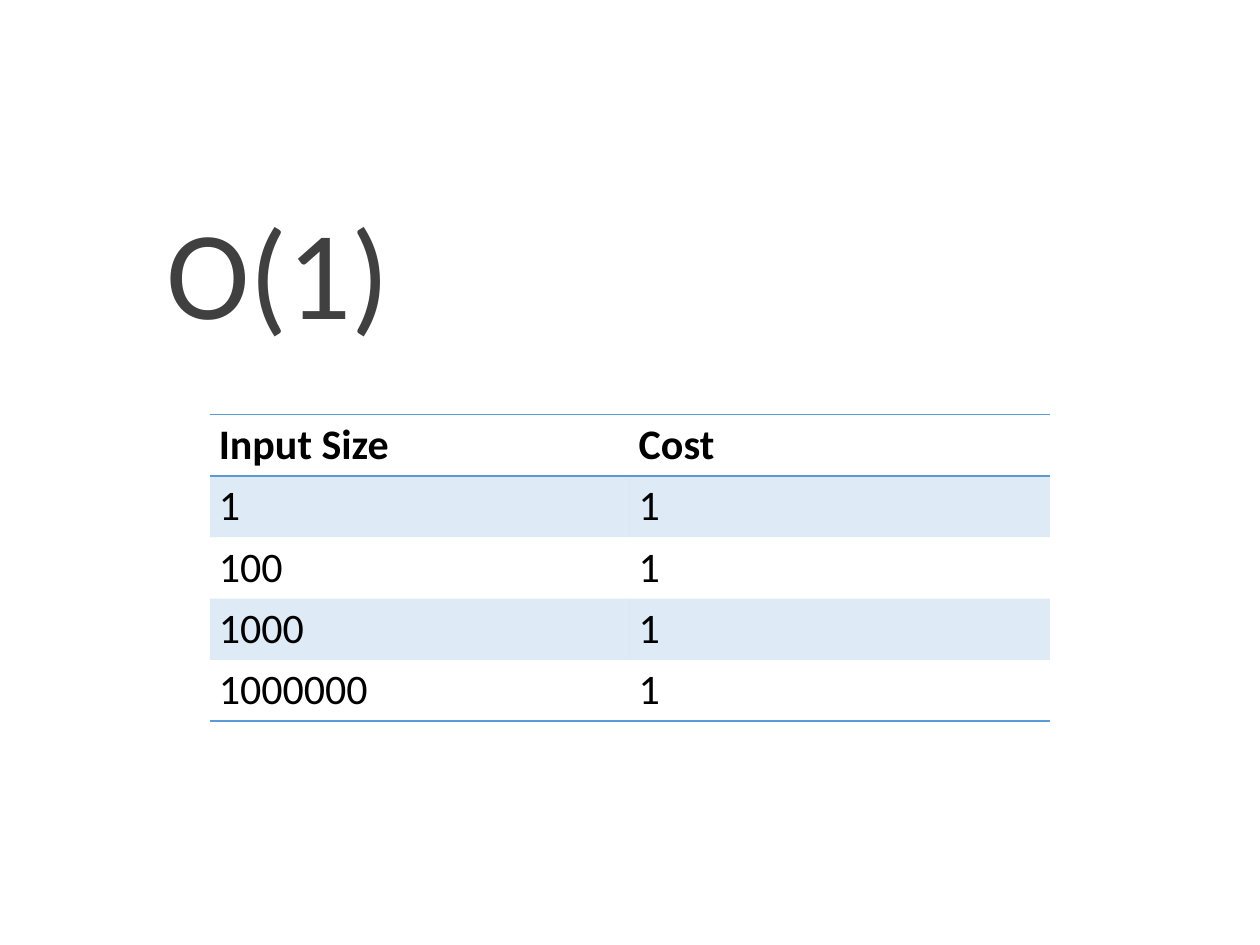
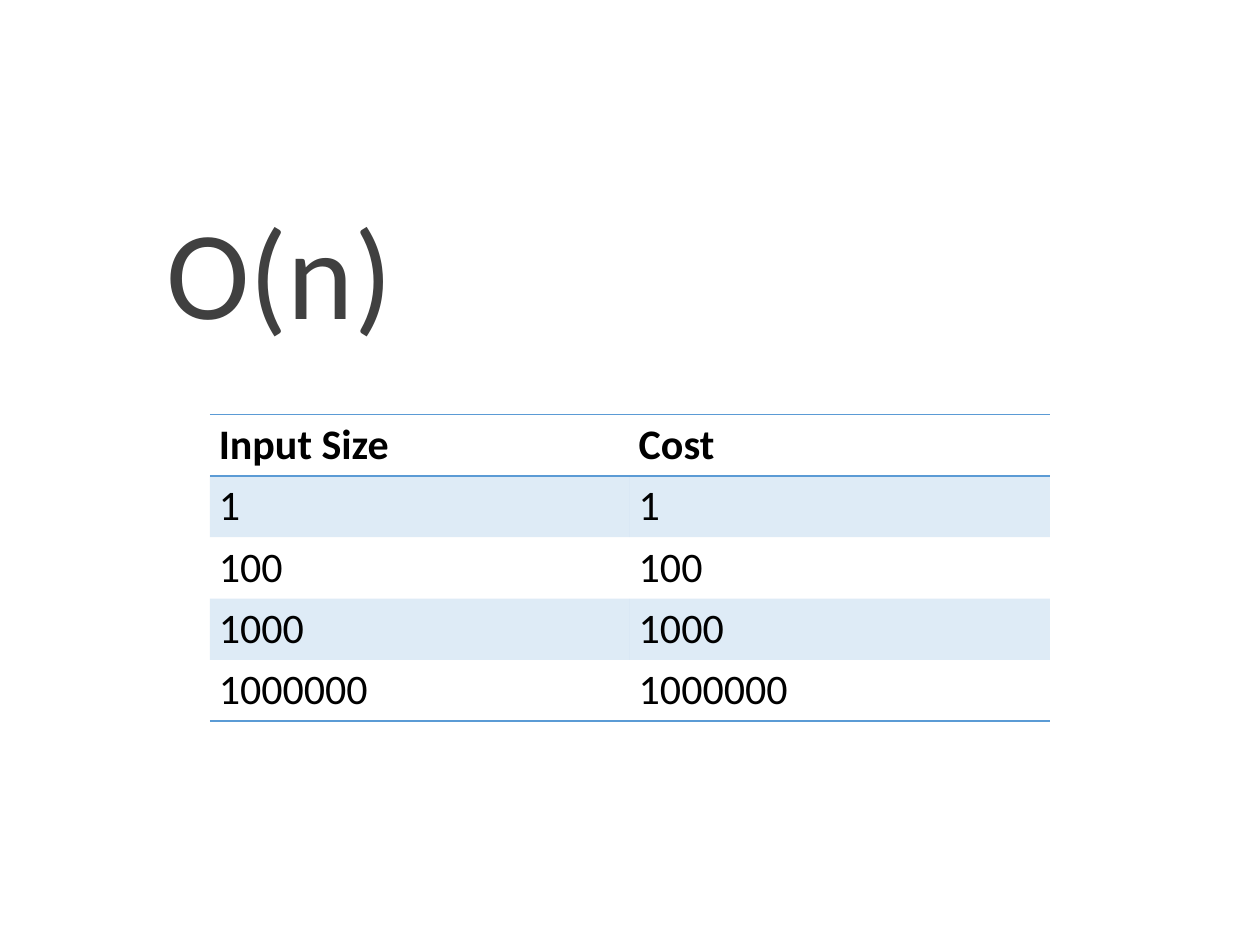
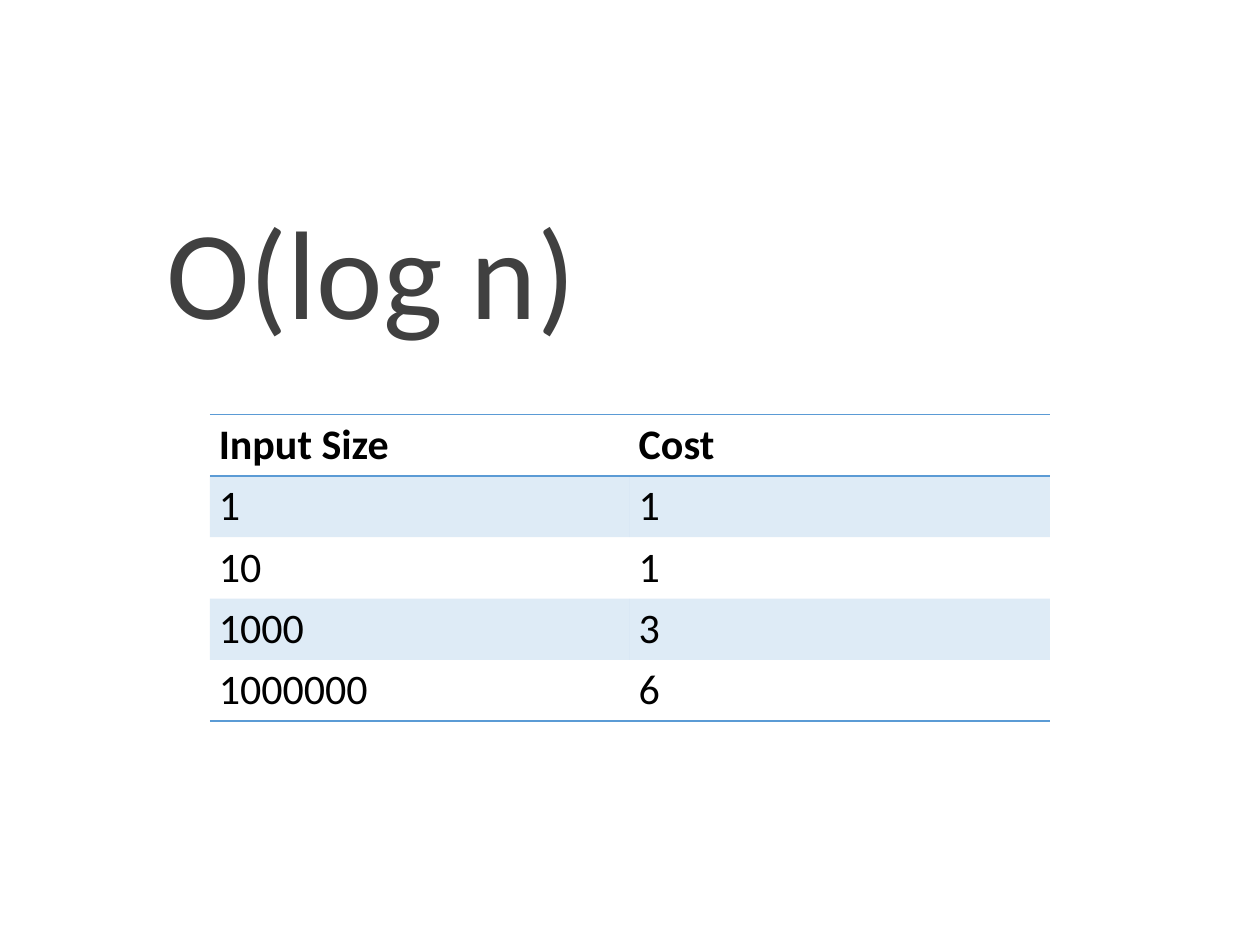
from pptx import Presentation
from pptx.dml.color import RGBColor
from pptx.enum.text import MSO_ANCHOR, MSO_AUTO_SIZE, PP_ALIGN
from pptx.oxml import parse_xml
from pptx.oxml.ns import nsdecls, qn
from pptx.util import Inches, Pt

HEADINGS = ("Input Size", "Cost")
COMPLEXITIES = [
    ("O(1)", [(1, 1), (100, 1), (1000, 1), (1000000, 1)]),
    ("O(n)", [(1, 1), (100, 100), (1000, 1000), (1000000, 1000000)]),
    ("O(log n)", [(1, 1), (10, 1), (1000, 3), (1000000, 6)]),
]

FONT = "Calibri"
TITLE_COLOUR, TEXT_COLOUR, ACCENT = "404040", "000000", "5B9BD5"
BAND_OPACITY = 20
NO_STYLE_NO_GRID = "{2D5ABB26-0587-4C30-8999-92F81FD0307C}"

SLIDE_WIDTH, SLIDE_HEIGHT = Inches(10), Inches(7.5)
TITLE_LEFT, TITLE_TOP = SLIDE_WIDTH // 8, Inches(1.66)
TITLE_WIDTH, TITLE_HEIGHT = SLIDE_WIDTH * 3 // 8, Inches(1.18)
TABLE_LEFT, TABLE_TOP = SLIDE_WIDTH // 6, Inches(3.29)
TABLE_WIDTH, ROW_HEIGHT = SLIDE_WIDTH * 2 // 3, Inches(0.47)
SIDE_MARGIN, EDGE_MARGIN = Inches(0.07), Inches(0.04)


def style_font(font, size, colour, bold=False):
    font.name = FONT
    font.size = Pt(size)
    font.bold = bold
    font.color.rgb = RGBColor.from_string(colour)


def set_margins(target):
    target.margin_left = target.margin_right = SIDE_MARGIN
    target.margin_top = target.margin_bottom = EDGE_MARGIN


def fill_band(cell):
    """Tint a cell with the transparent accent colour."""
    cell.fill.solid()
    cell.fill.fore_color.rgb = RGBColor.from_string(ACCENT)
    colour = cell.fill._xPr.find(".//" + qn("a:srgbClr"))
    colour.append(parse_xml(
        f'<a:alpha {nsdecls("a")} val="{BAND_OPACITY * 1000}"/>'))


def add_rules(cell, sides):
    """Draw accent borders; they must precede the fill in the cell's XML."""
    properties = cell._tc.get_or_add_tcPr()
    for position, side in enumerate(sides):
        properties.insert(position, parse_xml(
            f'<a:ln{side} {nsdecls("a")} w="{Pt(1)}"><a:solidFill>'
            f'<a:srgbClr val="{ACCENT}"/></a:solidFill></a:ln{side}>'))


def add_title(slide, notation):
    title = slide.shapes.title
    title.left, title.top = TITLE_LEFT, TITLE_TOP
    title.width, title.height = TITLE_WIDTH, TITLE_HEIGHT
    frame = title.text_frame
    frame.text = notation
    frame.auto_size = MSO_AUTO_SIZE.NONE
    frame.vertical_anchor = MSO_ANCHOR.MIDDLE
    set_margins(frame)
    paragraph = frame.paragraphs[0]
    paragraph.alignment = PP_ALIGN.LEFT
    paragraph.line_spacing = 0.8
    style_font(paragraph.runs[0].font, 72, TITLE_COLOUR)


def add_cost_table(slide, costs):
    rows = [HEADINGS, *costs]
    frame = slide.shapes.add_table(
        len(rows), len(HEADINGS), TABLE_LEFT, TABLE_TOP,
        TABLE_WIDTH, ROW_HEIGHT * len(rows))
    table = frame.table
    table._tbl.tblPr.find(qn("a:tableStyleId")).text = NO_STYLE_NO_GRID
    for row_index, values in enumerate(rows):
        heading = row_index == 0
        for column, value in enumerate(values):
            cell = table.cell(row_index, column)
            cell.text = str(value)
            set_margins(cell)
            style_font(cell.text_frame.paragraphs[0].runs[0].font,
                       24, TEXT_COLOUR, bold=heading)
            if row_index % 2:
                fill_band(cell)
            else:
                cell.fill.background()
            if heading:
                add_rules(cell, "TB")
            elif row_index == len(rows) - 1:
                add_rules(cell, "B")


def main():
    deck = Presentation()
    deck.slide_width, deck.slide_height = SLIDE_WIDTH, SLIDE_HEIGHT
    title_only = deck.slide_layouts.get_by_name("Title Only")
    for notation, costs in COMPLEXITIES:
        slide = deck.slides.add_slide(title_only)
        add_title(slide, notation)
        add_cost_table(slide, costs)
    deck.save("out.pptx")


if __name__ == "__main__":
    main()
